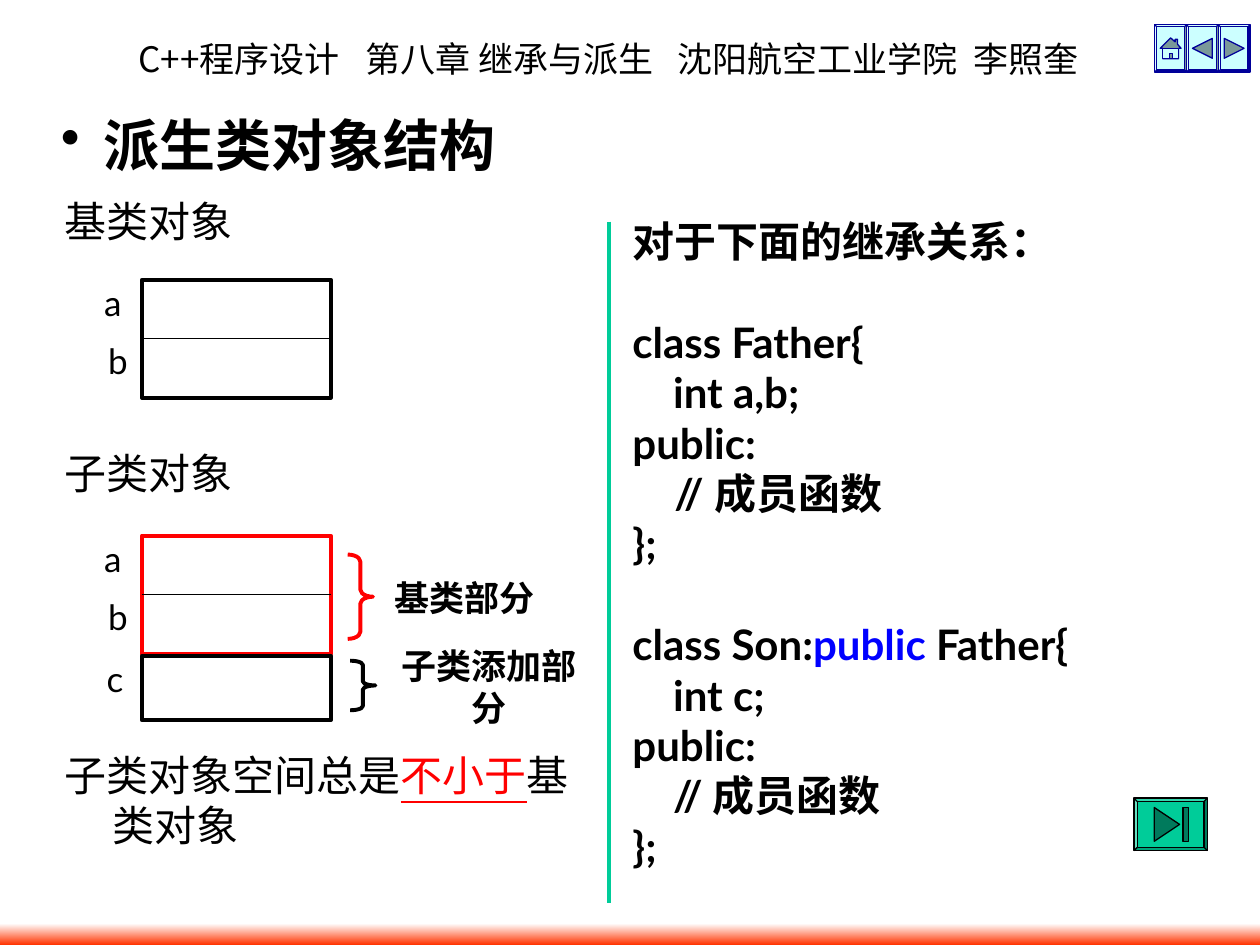
from lxml import etree
from pptx import Presentation
from pptx import util as u
from pptx.dml.color import RGBColor
from pptx.enum import shapes, text
from pptx.oxml.ns import qn

BLACK, RED, GREEN, NAVY, AQUA = "000000", "FF0000", "00CC99", "000099", "CCFFFF"
SHADE, DARK_GREEN = "7A9999", "007A5C"
LINE_PT = 28.8
NEXT = [(-0.2, -0.2), (0.2, 0), (-0.2, 0.2)]
PREVIOUS = [(-x, y) for x, y in NEXT]
HOUSE = [(0, -0.21), (0.09, -0.13), (0.09, -0.18), (0.14, -0.18), (0.14, -0.08), (0.21, 0),
         (0.16, 0), (0.16, 0.21), (-0.16, 0.21), (-0.16, 0), (-0.21, 0)]
WALLS = [(-0.03, 0.1), (0.04, 0.1), (0.04, 0.21), (0.16, 0.21), (0.16, 0),
         (-0.16, 0), (-0.16, 0.21), (-0.03, 0.21)]
END_ARROW = [(-0.33, -0.34), (0.18, 0), (-0.33, 0.34)]
END_BAR = [(0.25, -0.34), (0.36, -0.34), (0.36, 0.34), (0.25, 0.34)]
CODE = [
    (0, ["对于下面的继承关系："]),
    (1, ["class Father{"]),
    (0, ["    int a,b;"]),
    (0, ["public:"]),
    (0, ["　// 成员函数"]),
    (0, ["};"]),
    (1, ["class Son:", ("public", "0000FF", False), " Father{"]),
    (0, ["    int c;"]),
    (0, ["public:"]),
    (0, ["    // 成员函数"]),
    (0, ["};"]),
]
NOTES = [
    (0, ["基类对象"]),
    (4, ["子类对象"]),
    (5, ["子类对象空间总是", ("不小于", RED, True), "基类对象"]),
]


def cm(*values):
    """Turn centimetres into lengths."""
    return [u.Cm(value) for value in values]


def color(value):
    """Turn a hex string into a colour."""
    return RGBColor.from_string(value)


def set_font(paragraph, size, bold=False, name="Lato"):
    """Set the font of a whole paragraph, Chinese included."""
    font = paragraph.font
    font.size, font.bold, font.name = u.Pt(size), bold, name
    font.color.rgb = color(BLACK)
    defaults = paragraph._p.pPr.find(qn("a:defRPr"))
    etree.SubElement(defaults, qn("a:ea")).set("typeface", name)


def add_box(page, place, anchor=text.MSO_ANCHOR.TOP, wrap=True):
    """Add an empty text box and return its frame."""
    frame = page.shapes.add_textbox(*cm(*place)).text_frame
    frame.word_wrap, frame.vertical_anchor = wrap, anchor
    return frame


def add_header(page):
    """Add the course line, its parts set at tab stops."""
    para = add_box(page, (2.54, 0.64, 20.96, 1.12)).paragraphs[0]
    tabs = etree.SubElement(para._p.get_or_add_pPr(), qn("a:tabLst"))
    for stop in cm(4.58, 10.87, 16.83):
        etree.SubElement(tabs, qn("a:tab"), pos=str(stop), algn="l")
    set_font(para, 20, name="Noto Sans CJK SC")
    parts = [("C++程序设计\t", "JP"), ("第八章 继承与派生\t", "SC"),
             ("沈阳航空工业学院\t", "JP"), ("李照奎", "SC")]
    for words, region in parts:
        span = para.add_run()
        span.text = words
        span.font.name = f"Noto Sans CJK {region}"
        etree.SubElement(span.font._element, qn("a:ea")).set("typeface", span.font.name)


def add_title(page):
    """Add the bulleted slide title."""
    para = add_box(page, (0.21, 2.12, 10.8, 1.59), text.MSO_ANCHOR.MIDDLE).paragraphs[0]
    para.text, para.alignment = "派生类对象结构", text.PP_ALIGN.CENTER
    properties = para._p.get_or_add_pPr()
    properties.set("marL", str(u.Cm(0.85)))
    properties.set("indent", str(u.Cm(-0.85)))
    etree.SubElement(properties, qn("a:buChar")).set("char", "•")
    set_font(para, 32, bold=True)


def add_lines(page, place, lines, bold):
    """Add hanging paragraphs, each after a number of free lines."""
    frame = add_box(page, place)
    for number, (gap, spans) in enumerate(lines):
        para = frame.add_paragraph() if number else frame.paragraphs[0]
        properties = para._p.get_or_add_pPr()
        properties.set("marL", str(u.Cm(0.95)))
        properties.set("indent", str(u.Cm(-0.95)))
        if gap:
            para.space_before = u.Pt(gap * LINE_PT)
        set_font(para, 24, bold)
        for item in spans:
            span = para.add_run()
            if isinstance(item, str):
                span.text = item
            else:
                span.text, tint, span.font.underline = item
                span.font.color.rgb = color(tint)


def add_label(page, place, words, bold=False):
    """Add a short centred label."""
    para = add_box(page, place, text.MSO_ANCHOR.MIDDLE, wrap=False).paragraphs[0]
    para.text, para.alignment = words, text.PP_ALIGN.CENTER
    set_font(para, 20, bold)


def paint(shape, fill, line, width):
    """Give a shape its fill and line, without shadow."""
    shape.shadow.inherit = False
    if fill:
        shape.fill.solid()
        shape.fill.fore_color.rgb = color(fill)
    else:
        shape.fill.background()
    shape.line.color.rgb = color(line)
    shape.line.width = u.Pt(width)


def add_preset(page, kind, place, line, width=2.25, fill=None, adjust=None):
    """Add a preset shape."""
    shape = page.shapes.add_shape(kind, *cm(*place))
    paint(shape, fill, line, width)
    if adjust is not None:
        shape.adjustments[0] = adjust
    return shape


def add_line(page, ends, line, width):
    """Add a straight connector without shadow."""
    connector = page.shapes.add_connector(shapes.MSO_CONNECTOR.STRAIGHT, *cm(*ends))
    connector.line.color.rgb, connector.line.width = color(line), u.Pt(width)
    etree.SubElement(connector._element.spPr, qn("a:effectLst"))
    return connector


def add_object(page, top, line):
    """Add a two-row memory block with its member names."""
    block = add_preset(page, shapes.MSO_SHAPE.RECTANGLE, (2.86, top, 3.81, 2.38), line)
    divider = add_line(page, (2.86, top + 1.19, 6.67, top + 1.19), BLACK, 0.75)
    divider.begin_connect(block, 1)
    divider.end_connect(block, 3)
    add_label(page, (1.85, top, 0.81, 0.91), "a")
    add_label(page, (1.93, top + 1.17, 0.81, 0.91), "b")


def add_brace(page, left, top, height, line):
    """Add a right brace whose curves scale with its height."""
    width = 0.51
    add_preset(page, shapes.MSO_SHAPE.RIGHT_BRACE, (left, top, width, height), line,
               adjust=height / width / 12)


def add_button(page, place, fill, line, icons):
    """Add a bevelled button with icon outlines about its centre."""
    add_preset(page, shapes.MSO_SHAPE.BEVEL, place, line, 0.75, fill, 0.0625)
    left, top, width, height = place
    for points, tint in icons:
        corners = [cm(left + width / 2 + x, top + height / 2 + y) for x, y in points]
        builder = page.shapes.build_freeform(*corners[0])
        builder.add_line_segments(corners[1:], close=True)
        paint(builder.convert_to_shape(), tint, line, 0.75)


def add_footer(page):
    """Add the gradient bar at the foot."""
    bar = page.shapes.add_shape(shapes.MSO_SHAPE.RECTANGLE, *cm(0, 18.62, 25.4, 0.43))
    bar.shadow.inherit = False
    bar.line.fill.background()
    bar.fill.gradient()
    bar.fill.gradient_angle = 270
    for stop, position, tint in zip(bar.fill.gradient_stops, (0, 1), ("FFFFFF", "FF3300")):
        stop.position, stop.color.rgb = position, color(tint)


def main():
    """Build and save the slide."""
    deck = Presentation()
    deck.slide_width, deck.slide_height = cm(25.4, 19.05)
    page = deck.slides.add_slide(deck.slide_layouts[6])
    add_header(page)
    add_footer(page)
    navigation = [[(HOUSE, SHADE), (WALLS, AQUA)], [(PREVIOUS, SHADE)], [(NEXT, SHADE)]]
    for number, icons in enumerate(navigation):
        add_button(page, (23.28 + 0.64 * number, 0.5, 0.64, 0.95), AQUA, NAVY, icons)
    add_title(page)
    add_lines(page, (12.5, 4.22, 12.9, 13.79), CODE, True)
    add_lines(page, (1.06, 3.81, 11.4, 14.4), NOTES, False)
    add_object(page, 5.64, BLACK)
    add_object(page, 10.8, RED)
    add_preset(page, shapes.MSO_SHAPE.RECTANGLE, (2.86, 13.22, 3.81, 1.3), BLACK)
    add_label(page, (1.9, 13.22, 0.81, 0.91), "c")
    add_brace(page, 7.01, 11.18, 1.7, RED)
    add_label(page, (7.67, 11.6, 3.4, 0.91), "基类部分", True)
    add_brace(page, 7.06, 13.32, 1, BLACK)
    add_label(page, (7.57, 13.39, 4.57, 0.91), "子类添加部分", True)
    add_line(page, (12.27, 4.47, 12.27, 18.21), GREEN, 2.25)
    add_button(page, (22.86, 16.09, 1.48, 1.06), GREEN, BLACK,
               [(END_ARROW, DARK_GREEN), (END_BAR, DARK_GREEN)])
    deck.save("out.pptx")


if __name__ == "__main__":
    main()
